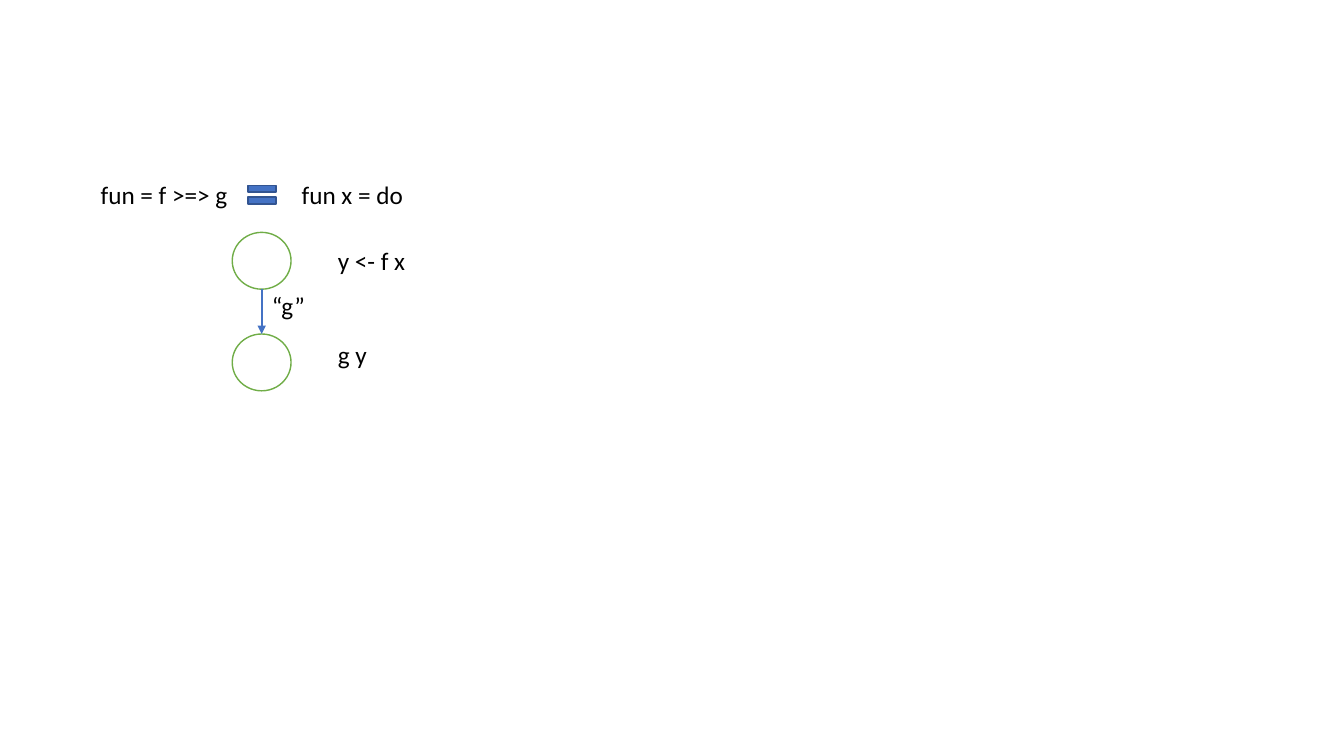
"""Build a slide equating Kleisli composition with its do-notation form."""
from lxml.etree import SubElement
from pptx import Presentation
from pptx.dml.color import RGBColor
from pptx.enum.shapes import MSO_CONNECTOR, MSO_SHAPE
from pptx.enum.text import MSO_AUTO_SIZE
from pptx.oxml.ns import qn
from pptx.util import Pt

BLACK = RGBColor(0x00, 0x00, 0x00)
WHITE = RGBColor(0xFF, 0xFF, 0xFF)
GREEN = RGBColor(0x70, 0xAD, 0x47)
BLUE = RGBColor(0x44, 0x72, 0xC4)
DARK_BLUE = RGBColor(0x32, 0x54, 0x91)

NODE_LEFT, NODE_WIDTH, NODE_HEIGHT = 165.9, 42, 40.6
NODE_TOPS = (166, 238.6)
NODE_CENTER = NODE_LEFT + NODE_WIDTH / 2


def add_figure(slide, preset, left, top, width, height, fill, outline):
    figure = slide.shapes.add_shape(preset, Pt(left), Pt(top), Pt(width), Pt(height))
    figure.shadow.inherit = False
    figure.fill.solid()
    figure.fill.fore_color.rgb = fill
    figure.line.color.rgb = outline
    figure.line.width = Pt(1)
    return figure


prs = Presentation()
prs.slide_width, prs.slide_height = Pt(960), Pt(540)
slide = prs.slides.add_slide(prs.slide_layouts[6])

for node_top in NODE_TOPS:
    add_figure(slide, MSO_SHAPE.OVAL, NODE_LEFT, node_top,
               NODE_WIDTH, NODE_HEIGHT, WHITE, GREEN)

g_arrow = slide.shapes.add_connector(
    MSO_CONNECTOR.STRAIGHT, Pt(NODE_CENTER), Pt(NODE_TOPS[0] + NODE_HEIGHT),
    Pt(NODE_CENTER), Pt(NODE_TOPS[1]))
g_arrow.line.color.rgb = BLUE
g_arrow.line.width = Pt(1.5)
SubElement(g_arrow.line._get_or_add_ln(), qn("a:tailEnd"), type="triangle")
SubElement(g_arrow._element.spPr, qn("a:effectLst"))

expressions = [
    ("fun x = do", 208.4, 124.6, 87.8),
    ("y <- f x", 234.2, 171.6, 63.4),
    ("g y", 234.2, 238.6, 35.3),
    ("“g”", 187.2, 203.8, 38.9),
    ("fun = f >=> g", 64.8, 124.6, 106.6),
]
for expression, left, top, width in expressions:
    label = slide.shapes.add_textbox(Pt(left), Pt(top), Pt(width), Pt(29))
    label.text_frame.word_wrap = False
    label.text_frame.auto_size = MSO_AUTO_SIZE.SHAPE_TO_FIT_TEXT
    run = label.text_frame.paragraphs[0].add_run()
    run.text = expression
    run.font.name = "Calibri"
    run.font.size = Pt(18)
    run.font.color.rgb = BLACK

equals = add_figure(slide, MSO_SHAPE.MATH_EQUAL, 173.5, 128.5, 27.4, 21, BLUE, DARK_BLUE)
equals.adjustments[0] = 0.235
equals.adjustments[1] = 0.165

prs.save("out.pptx")
